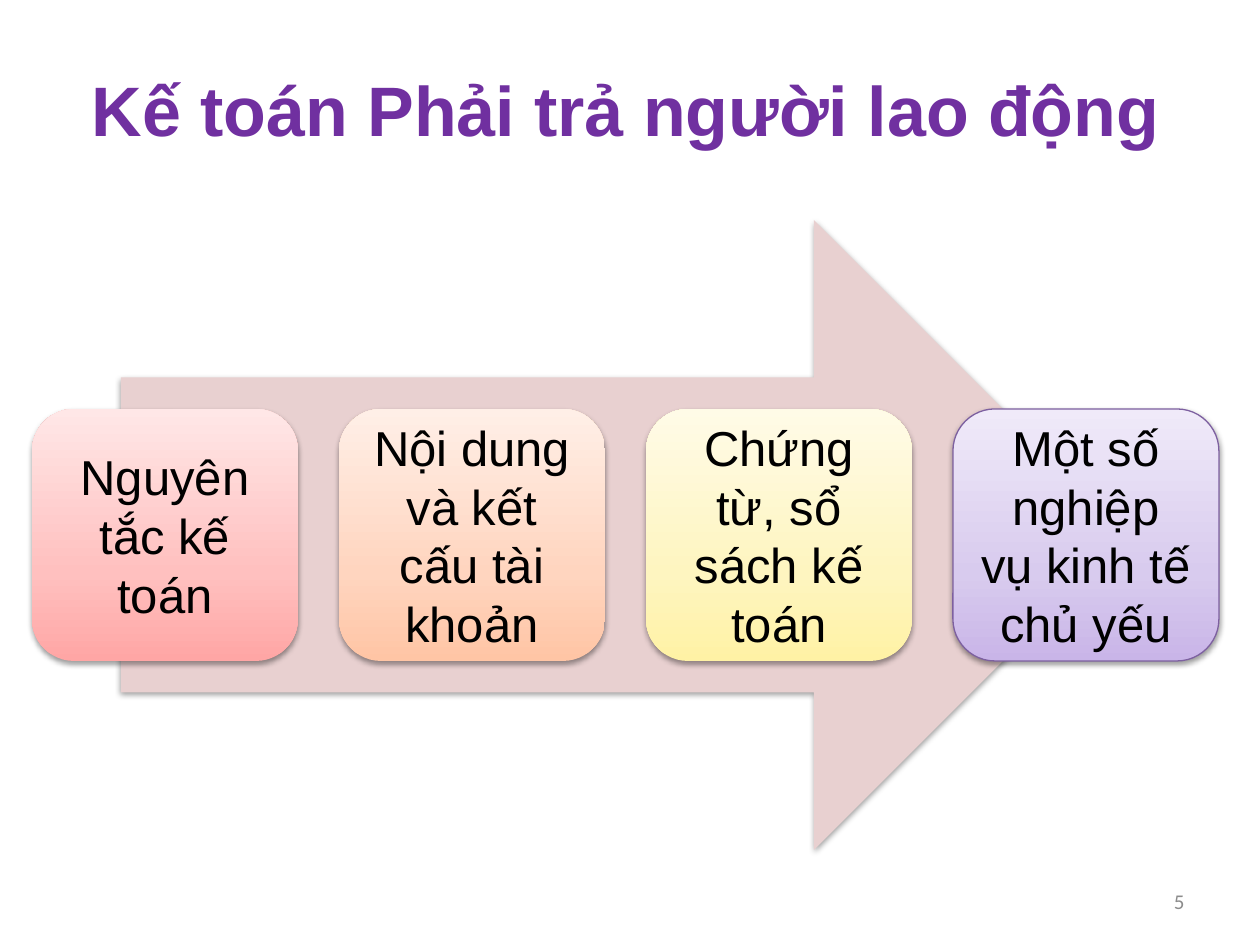
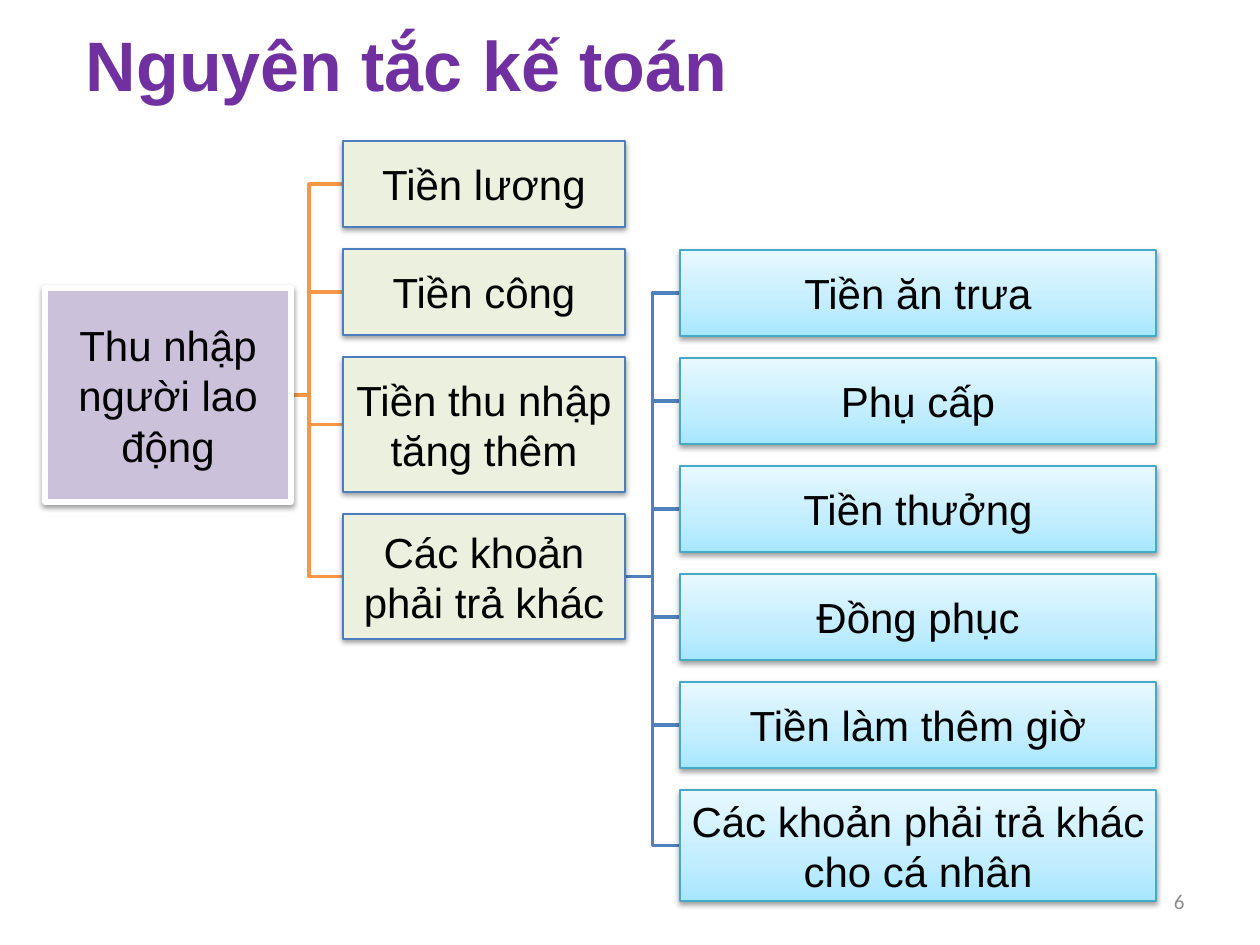
from copy import deepcopy

from lxml import etree
from pptx import Presentation
from pptx.dml.color import RGBColor
from pptx.enum.shapes import MSO_SHAPE
from pptx.enum.text import MSO_ANCHOR, PP_ALIGN
from pptx.oxml.ns import qn
from pptx.util import Emu, Pt

RECT, ROUNDED, ARROW = MSO_SHAPE.RECTANGLE, MSO_SHAPE.ROUNDED_RECTANGLE, MSO_SHAPE.RIGHT_ARROW
CENTER, RIGHT = PP_ALIGN.CENTER, PP_ALIGN.RIGHT
MIDDLE, BOTTOM = MSO_ANCHOR.MIDDLE, MSO_ANCHOR.BOTTOM

PX_PER_INCH = 126
BLANK_LAYOUT = 6

PURPLE, BLACK, GREY, WHITE = "7030A0", "000000", "8C8C8C", "FFFFFF"
ARROW_PINK, LILAC, PALE_GREEN = "E8D0D0", "CCC1DA", "EBF1DE"
ORANGE, BLUE, BOX_BLUE, TEAL, VIOLET = "F79646", "4F81BD", "4B7EBC", "46AAC5", "7D60A0"
SKY = ("A7E6FF", "C1EDFF", "E7F8FF")


def px(n):
    return Emu(round(n * 914400 / PX_PER_INCH))


def rgb(value):
    return RGBColor.from_string(value)


class Deck:
    """Holds the shared style and the slide being drawn."""

    font = "Arial"
    number_font = "Calibri"
    stops = (0, 0.35, 1)

    def __init__(self):
        self.prs = Presentation()
        self.prs.slide_width, self.prs.slide_height = px(1260), px(945)

    def new_slide(self, number):
        self.s = self.prs.slides.add_slide(self.prs.slide_layouts[BLANK_LAYOUT])
        self.text(number, 903, 876, 294, 50, 12, GREY, RIGHT, MIDDLE, font=self.number_font)

    def set_text(self, sp, text, size, color, align, anchor, bold=False, font=None, inset=None):
        tf = sp.text_frame
        tf.word_wrap = True
        tf.vertical_anchor = anchor
        if inset is not None:
            tf.margin_left = tf.margin_right = tf.margin_top = tf.margin_bottom = px(inset)
        p = tf.paragraphs[0]
        p.alignment = align
        r = p.add_run()
        r.text = text
        r.font.name = font or self.font
        r.font.size = Pt(size)
        r.font.bold = bold
        r.font.color.rgb = rgb(color)
        return p

    def text(self, text, x, y, w, h, *style, **options):
        sp = self.s.shapes.add_textbox(px(x), px(y), px(w), px(h))
        return self.set_text(sp, text, *style, **options)

    def title(self, text, x, y, w, h, spacing=1.0):
        p = self.text(text, x, y, w, h, 40, PURPLE, CENTER, BOTTOM, bold=True)
        p.line_spacing = spacing

    def shape(self, kind, x, y, w, h, fill, line=None, line_width=0.75):
        """Adds a shadowed shape; a tuple of three colours fills it from the bottom up."""
        sp = self.s.shapes.add_shape(kind, px(x), px(y), px(w), px(h))
        if isinstance(fill, tuple):
            self.gradient(sp, fill)
        else:
            sp.fill.solid()
            sp.fill.fore_color.rgb = rgb(fill)
        if line:
            sp.line.color.rgb = rgb(line)
            sp.line.width = Pt(line_width)
        else:
            sp.line.fill.background()
        self.shadow(sp)
        return sp

    def gradient(self, sp, colors):
        sp.fill.gradient()
        sp.fill.gradient_angle = 90
        stop_list = sp._element.spPr.find(".//" + qn("a:gsLst"))
        stop_list.insert(1, deepcopy(stop_list[0]))
        for stop, position, color in zip(sp.fill.gradient_stops, self.stops, colors):
            stop.position = position
            stop.color.rgb = rgb(color)

    def shadow(self, sp):
        sp.shadow.inherit = False
        effects = sp._element.spPr.find(qn("a:effectLst"))
        outer = etree.SubElement(effects, qn("a:outerShdw"), blurRad="40000", dist="20000",
                                 dir="5400000", rotWithShape="0")
        color = etree.SubElement(outer, qn("a:srgbClr"), val=BLACK)
        etree.SubElement(color, qn("a:alpha"), val="38000")

    def box(self, kind, x, y, w, h, text, size, inset, fill, line=None, line_width=0.75):
        sp = self.shape(kind, x, y, w, h, fill, line, line_width)
        self.set_text(sp, text, size, BLACK, CENTER, MIDDLE, inset=inset)

    def branch(self, x1, y1, x2, y2, color):
        """Draws a right-angled line that turns halfway across."""
        mid = (x1 + x2) / 2
        builder = self.s.shapes.build_freeform(px(x1), px(y1))
        builder.add_line_segments([(px(mid), px(y1)), (px(mid), px(y2)), (px(x2), px(y2))],
                                  close=False)
        sp = builder.convert_to_shape()
        sp.fill.background()
        sp.line.color.rgb = rgb(color)
        sp.line.width = Pt(2)
        sp.shadow.inherit = False


def stack(items, top, gap):
    """Places (text, height) items down a column as (text, top, height)."""
    placed = []
    for text, height in items:
        placed.append((text, top, height))
        top += height + gap
    return placed


def overview_slide(deck):
    deck.new_slide("5")
    deck.shape(ARROW, 121, 220, 1008, 630, ARROW_PINK)
    steps = [
        ("Nguyên tắc kế toán", ("FFA6A5", "FFC0BF", "FFE7E7"), None),
        ("Nội dung và kết cấu tài khoản", ("FFC5A5", "FFD5BF", "FFEFE7"), None),
        ("Chứng từ, sổ sách kế toán", ("FFF2A5", "FEF5C0", "FFFBE7"), None),
        ("Một số nghiệp vụ kinh tế chủ yếu", ("C9B5E8", "D8CBEE", "F0EAF9"), VIOLET),
    ]
    for i, (text, fill, line) in enumerate(steps):
        deck.box(ROUNDED, 32 + 307 * i, 409, 266, 252, text, 28, 15, fill, line)
    deck.title("Kế toán Phải trả người lao động", 0, 26, 1251, 131)


def income_slide(deck):
    deck.new_slide("6")
    deck.title("Nguyên tắc kế toán", 0, 34, 813, 79, spacing=0.9)
    gap = 22
    incomes = stack([("Tiền lương", 86), ("Tiền công", 86), ("Tiền thu nhập tăng thêm", 135),
                     ("Các khoản phải trả khác", 125)], 141, gap)
    others = stack([("Tiền ăn trưa", 86), ("Phụ cấp", 86), ("Tiền thưởng", 86),
                    ("Đồng phục", 86), ("Tiền làm thêm giờ", 86),
                    ("Các khoản phải trả khác cho cá nhân", 111)], 250, gap)
    income_x, income_w, other_x, other_w = 343, 282, 680, 476
    _, last_top, last_height = incomes[-1]

    for _, top, height in others:
        deck.branch(income_x + income_w, last_top + last_height / 2,
                    other_x, top + height / 2, BLUE)
    for _, top, height in incomes:
        deck.branch(275, 395, income_x, top + height / 2, ORANGE)

    deck.box(RECT, 45, 288, 246, 214, "Thu nhập người lao động", 24, 2, LILAC, WHITE, 3)
    for text, top, height in incomes:
        deck.box(RECT, income_x, top, income_w, height, text, 24, 2, PALE_GREEN, BOX_BLUE)
    for text, top, height in others:
        deck.box(RECT, other_x, top, other_w, height, text, 24, 2, SKY, TEAL)


def main():
    deck = Deck()
    overview_slide(deck)
    income_slide(deck)
    deck.prs.save("out.pptx")


if __name__ == "__main__":
    main()
